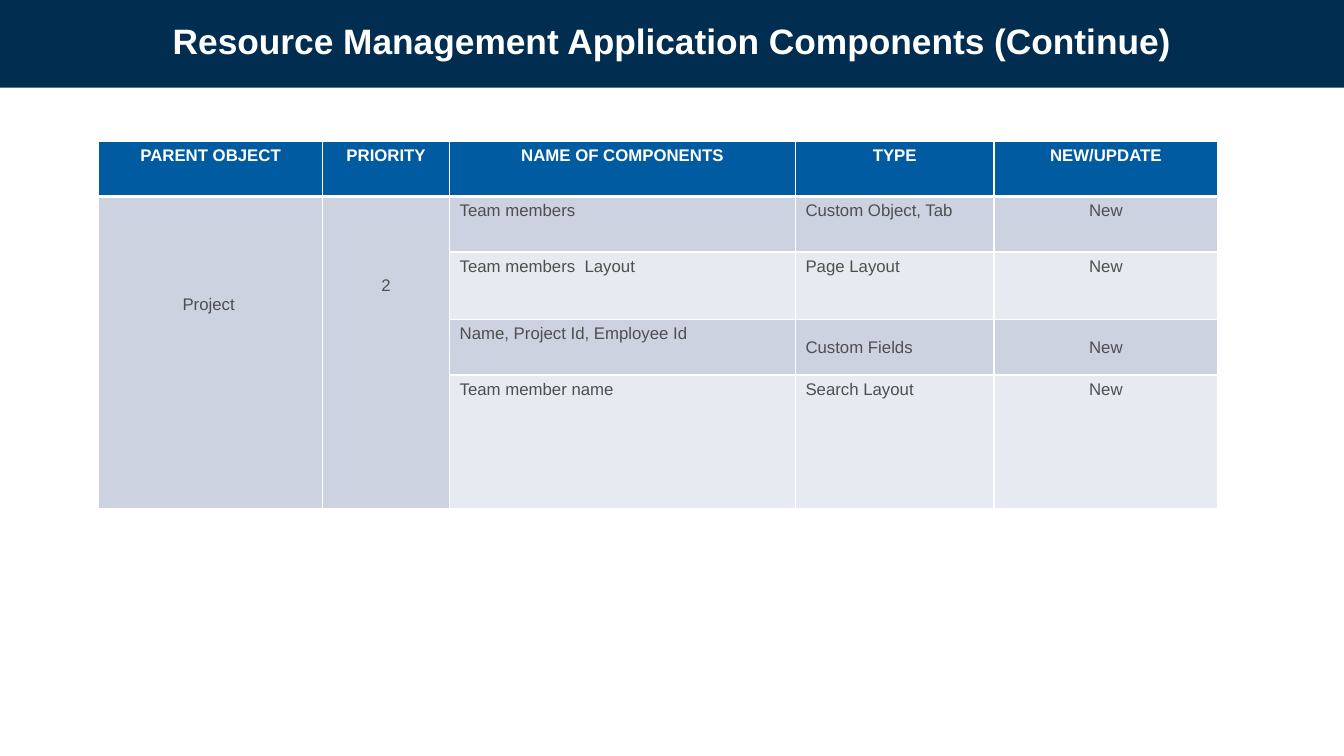
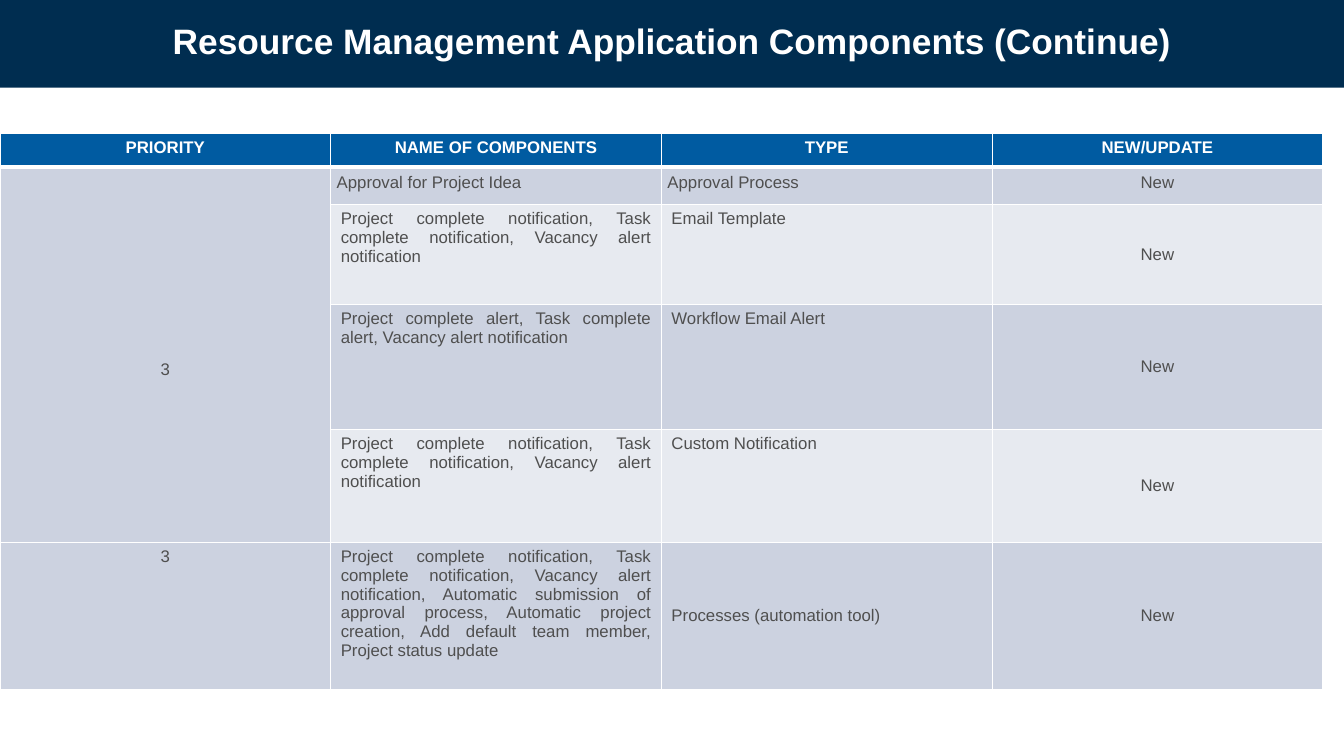
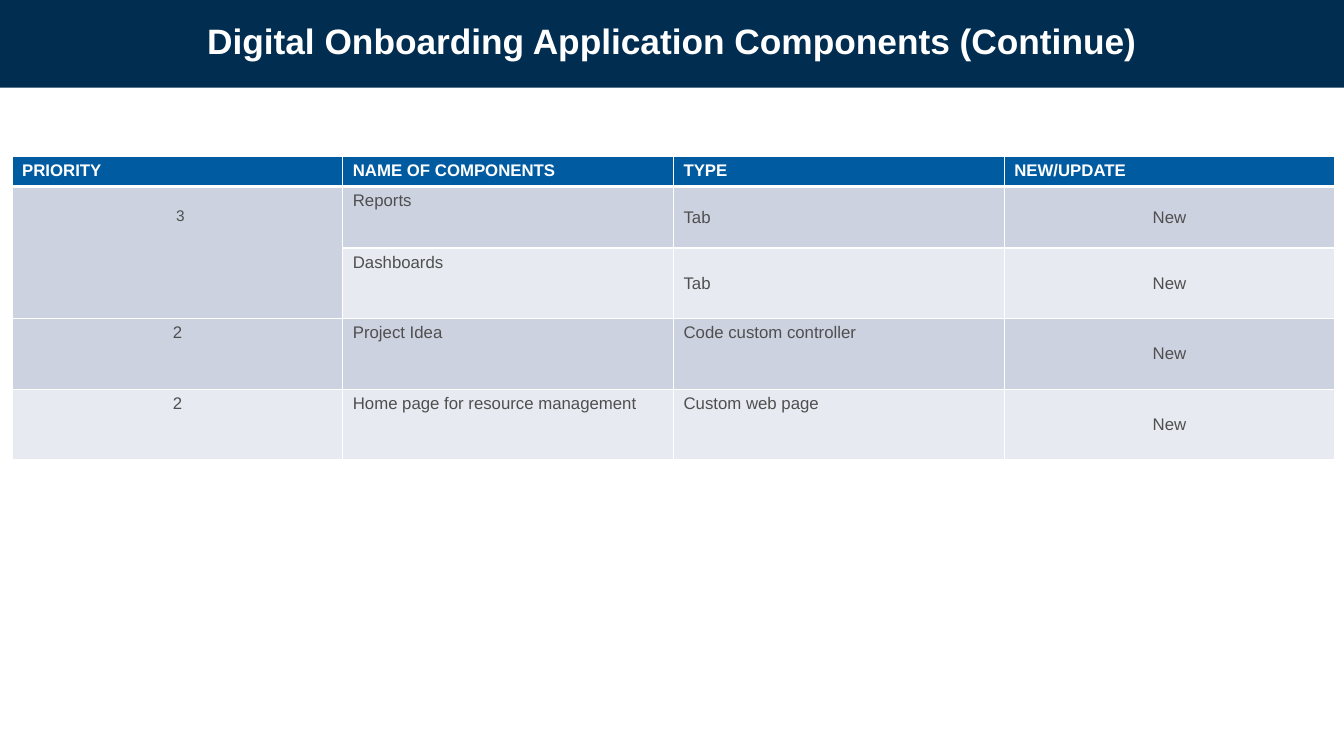
from lxml import etree
from pptx import Presentation
from pptx import util as u
from pptx.dml import color
from pptx.enum import shapes, text
from pptx.oxml import ns

HUES = {
    "navy": "002D50",
    "blue": "005BA1",
    "white": "FFFFFF",
    "dark": "CCD2E0",
    "light": "E7EAF0",
    "ink": "4F4F4F",
}
FONT = "Arial"
WIDE, TALL = 13.33, 7.5
MID = text.MSO_ANCHOR.MIDDLE
MARGIN = (0.1, 0.05, 0.1, 0.05)
CENTER, JUST = text.PP_ALIGN.CENTER, text.PP_ALIGN.JUSTIFY

NOTICE = "Project complete notification, Task complete notification, Vacancy alert notification"
HEADS = ["PRIORITY", "NAME OF COMPONENTS", "TYPE", "NEW/UPDATE"]
RESOURCE = "Resource Management Application Components (Continue)"
EVEN = [3.28] * 4

PAGES = [
    {
        "title": RESOURCE,
        "at": (0.98, 1.4),
        "cols": [2.22, 1.26, 3.43, 1.97, 2.22],
        "rows": [0.55, 0.55, 0.67, 0.55, 1.33],
        "cells": [
            ["PARENT OBJECT"] + HEADS,
            ["Project", "2", "Team members", "Custom Object, Tab", "New"],
            [None, None, "Team members  Layout", "Page Layout", "New"],
            [None, None, "Name, Project Id, Employee Id", "Custom Fields", "New"],
            [None, None, "Team member name", "Search Layout", "New"],
        ],
        "mid": {(3, 3), (3, 4)},
        "pads": {(1, 0): (0.1, 0.98, 0.14, 0.05), (1, 1): (0.1, 0.79, 0.1, 0.05)},
    },
    {
        "title": RESOURCE,
        "at": (0, 1.32),
        "cols": EVEN,
        "rows": [0.34, 0.37, 0.99, 1.24, 1.12, 1.46],
        "cells": [
            HEADS,
            ["3", "Approval for Project Idea", "Approval Process", "New"],
            [None, NOTICE, "Email Template", "New"],
            [None, "Project complete alert, Task complete alert, Vacancy alert notification",
             "Workflow Email Alert", "New"],
            [None, NOTICE, "Custom Notification", "New"],
            ["3", NOTICE + ", Automatic submission of approval process, Automatic project creation, "
             "Add default team member, Project status update",
             "Processes (automation tool)", "New"],
        ],
        "mid": {(2, 3), (3, 3), (4, 3), (5, 2), (5, 3)},
        "pads": {(1, 0): (0.1, 1.91, 0.1, 0.05), **{(1, c): (0.06,) * 4 for c in (1, 2, 3)}},
    },
    {
        "title": "Digital Onboarding Application Components (Continue)",
        "at": (0.12, 1.55),
        "cols": EVEN,
        "rows": [0.29, 0.61, 0.7, 0.7, 0.7],
        "cells": [
            HEADS,
            ["3", "Reports", "Tab", "New"],
            [None, "Dashboards", "Tab", "New"],
            ["2", "Project Idea", "Code custom controller", "New"],
            ["2", "Home page for resource management", "Custom web page", "New"],
        ],
        "mid": {(1, 2), (1, 3), (2, 2), (2, 3), (3, 3), (4, 3)},
        "pads": {(1, 0): (0.16, 0.21, 0.1, 0.05)},
        "sizes": {(1, 0): 11},
        "head": JUST,
    },
]


def rgb(name):
    return color.RGBColor.from_string(HUES[name])


def write(frame, words, size, hue, bold, align):
    frame.text = words
    para = frame.paragraphs[0]
    para.alignment = align
    font = para.runs[0].font
    font.name, font.size, font.bold = FONT, u.Pt(size), bold
    font.color.rgb = rgb(hue)


def add_band(slide, title):
    band = slide.shapes.add_shape(
        shapes.MSO_SHAPE.RECTANGLE, 0, 0, u.Inches(WIDE), u.Inches(0.87))
    band.shadow.inherit = False
    band.fill.solid()
    band.fill.fore_color.rgb = rgb("navy")
    band.line.fill.background()
    box = slide.shapes.add_textbox(0, u.Inches(0.12), u.Inches(WIDE), u.Inches(0.57))
    frame = box.text_frame
    frame.word_wrap = True
    frame.vertical_anchor = MID
    write(frame, title, 25.2, "white", True, CENTER)


def add_edges(cell, row):
    props = cell._tc.get_or_add_tcPr()
    widths = {"L": 1, "R": 1, "T": 3 if row == 1 else 1, "B": 3 if row == 0 else 1}
    for spot, (side, width) in enumerate(widths.items()):
        line = etree.Element(ns.qn("a:ln" + side), w=str(u.Pt(width)))
        fill = etree.SubElement(line, ns.qn("a:solidFill"))
        etree.SubElement(fill, ns.qn("a:srgbClr"), val=HUES["white"])
        props.insert(spot, line)


def set_cell(cell, page, row, col):
    spot, head = (row, col), row == 0
    cell.fill.solid()
    cell.fill.fore_color.rgb = rgb("blue" if head else "dark" if row % 2 else "light")
    pads = page["pads"].get(spot, MARGIN)
    cell.margin_left, cell.margin_top, cell.margin_right, cell.margin_bottom = map(u.Inches, pads)
    if spot in page["mid"]:
        cell.vertical_anchor = MID
    if head:
        align = page.get("head", CENTER)
    else:
        align = JUST if len(page["cols"]) - col in (2, 3) else CENTER
    size = page.get("sizes", {}).get(spot, 12)
    write(cell.text_frame, page["cells"][row][col], size, "white" if head else "ink", head, align)
    add_edges(cell, row)


def add_grid(slide, page):
    cols, rows, cells = page["cols"], page["rows"], page["cells"]
    spans = [*page["at"], sum(cols), sum(rows)]
    grid = slide.shapes.add_table(len(rows), len(cols), *map(u.Inches, spans)).table
    for col, width in zip(grid.columns, cols):
        col.width = u.Inches(width)
    for row, height in zip(grid.rows, rows):
        row.height = u.Inches(height)
    for r, line in enumerate(cells):
        for c, words in enumerate(line):
            if words is None:
                continue
            last = r
            while last + 1 < len(cells) and cells[last + 1][c] is None:
                last += 1
            if last > r:
                grid.cell(r, c).merge(grid.cell(last, c))
            set_cell(grid.cell(r, c), page, r, c)


def main():
    deck = Presentation()
    deck.slide_width, deck.slide_height = u.Inches(WIDE), u.Inches(TALL)
    for page in PAGES:
        slide = deck.slides.add_slide(deck.slide_layouts[6])
        add_band(slide, page["title"])
        add_grid(slide, page)
    deck.save("out.pptx")


if __name__ == "__main__":
    main()
